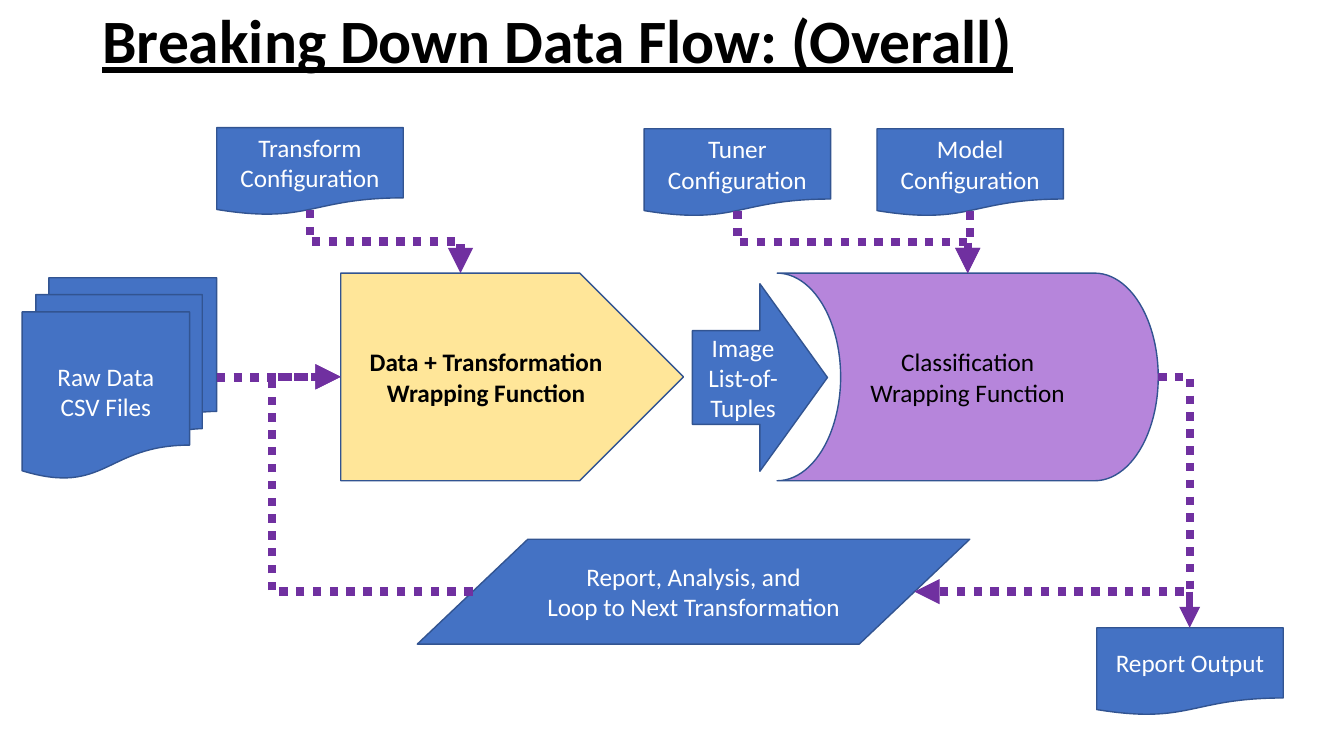
from lxml import etree
from pptx import Presentation
from pptx import util as u
from pptx.dml import color
from pptx.enum import dml, shapes, text
from pptx.oxml import ns

Pt = u.Pt
BLUE = color.RGBColor(0x44, 0x72, 0xC4)
OUTLINE = color.RGBColor(0x32, 0x54, 0x91)
YELLOW = color.RGBColor(0xFF, 0xE6, 0x99)
LILAC = color.RGBColor(0xB6, 0x85, 0xDB)
PURPLE = color.RGBColor(0x70, 0x30, 0xA0)
BLACK = color.RGBColor(0, 0, 0)
WHITE = color.RGBColor(0xFF, 0xFF, 0xFF)
KIND = shapes.MSO_SHAPE
LINK = shapes.MSO_CONNECTOR

deck = Presentation()
deck.slide_width, deck.slide_height = Pt(960), Pt(540)
slide = deck.slides.add_slide(deck.slide_layouts[6])


def write(frame, lines, ink, align, **font_values):
    frame.word_wrap = True
    frame.vertical_anchor = text.MSO_ANCHOR.MIDDLE
    frame.text = lines
    for paragraph in frame.paragraphs:
        paragraph.alignment = align
        for name, value in {"name": "Calibri", **font_values}.items():
            setattr(paragraph.font, name, value)
        paragraph.font.color.rgb = ink


def link(kind, begin, end, width, dash=None, bend=None):
    arrow = slide.shapes.add_connector(kind, *map(Pt, (*begin, *end)))
    arrow.line.color.rgb = PURPLE
    arrow.line.width = Pt(width)
    if dash:
        arrow.line.dash_style = dash
    props = arrow._element.spPr
    etree.SubElement(props.find(ns.qn("a:ln")), ns.qn("a:tailEnd"), type="triangle")
    etree.SubElement(props, ns.qn("a:effectLst"))
    if bend is not None:
        guides = props.find(ns.qn("a:prstGeom")).find(ns.qn("a:avLst"))
        etree.SubElement(guides, ns.qn("a:gd"), name="adj1",
                         fmla=f"val {round(bend * 100000)}")
    return arrow


# Processing steps and documents: kind, left, top, width, height, fill, ink, bold, text
DOC = (133.2, 62.6)
STEP_TOP, STEP_HEIGHT = 195.1, 148.3
steps = [
    (KIND.PENTAGON, 243.4, STEP_TOP, 244.8, STEP_HEIGHT, YELLOW, BLACK, True,
     "Data + Transformation\nWrapping Function"),
    (KIND.FLOWCHART_DOCUMENT, 154.8, 91.2, *DOC, BLUE, WHITE, False,
     "Transform\nConfiguration"),
    (KIND.FLOWCHART_STORED_DATA, 555.1, STEP_TOP, 272.2, STEP_HEIGHT, LILAC, BLACK, False,
     "Classification\nWrapping Function"),
    (KIND.FLOWCHART_DOCUMENT, 460.1, 92, *DOC, BLUE, WHITE, False,
     "Tuner\nConfiguration"),
    (KIND.FLOWCHART_DOCUMENT, 626.4, 92, *DOC, BLUE, WHITE, False,
     "Model\nConfiguration"),
    (KIND.FLOWCHART_MULTIDOCUMENT, 15.8, 198.4, 139, 143.3, BLUE, WHITE, False,
     "Raw Data\nCSV Files"),
    (KIND.RIGHT_ARROW, 494.6, 202.7, 96.5, 133.9, BLUE, WHITE, False,
     "Image List-of-Tuples"),
    (KIND.FLOWCHART_DATA, 298.1, 385.2, 394.6, 74.9, BLUE, WHITE, False,
     "Report, Analysis, and\vLoop to Next Transformation"),
    (KIND.FLOWCHART_DOCUMENT, 783.4, 448.4, *DOC, BLUE, WHITE, False,
     "Report Output"),
]
for kind, left, top, width, height, fill, ink, bold, words in steps:
    step = slide.shapes.add_shape(kind, *map(Pt, (left, top, width, height)))
    step.shadow.inherit = False
    step.fill.solid()
    step.fill.fore_color.rgb = fill
    step.line.color.rgb = OUTLINE
    step.line.width = Pt(1)
    if kind == KIND.FLOWCHART_STORED_DATA:
        step._element.spPr.xfrm.set("flipH", "1")
    write(step.text_frame, words, ink, text.PP_ALIGN.CENTER, size=Pt(18), bold=bold)

# Configurations feed down into the functions; a downward elbow is a turned one
DOTS = dml.MSO_LINE.ROUND_DOT
for start_x, start_y, end_x in [(221.4, 150, 329), (526.7, 150.5, 691.2),
                                (693, 151, 691.2)]:
    drop, shift = STEP_TOP - start_y, end_x - start_x
    mid_x, mid_y = start_x + shift / 2, start_y + drop / 2
    side = 1 if shift > 0 else -1
    feed = link(LINK.ELBOW,
                (mid_x + side * drop / 2, mid_y - abs(shift) / 2),
                (mid_x - side * drop / 2, mid_y + abs(shift) / 2), 6, DOTS, 0.5)
    turn = 270 if side > 0 else 90
    feed._element.spPr.xfrm.set("rot", str(turn * 60000))

# Results to the report, loop back, raw data in
FLOW_Y, REPORT_Y = 269.2, 422.6
for begin, end, bend in [
    ((827.3, FLOW_Y), (653.2, REPORT_Y), -0.13),
    ((337.6, REPORT_Y), (243.4, FLOW_Y), 1.52),
    ((154.8, FLOW_Y + 0.6), (243.4, FLOW_Y), 0.5),
]:
    link(LINK.ELBOW, begin, end, 6, DOTS, bend)
link(LINK.STRAIGHT, (849.8, REPORT_Y), (849.8, 448.4), 5)

# Title
title = slide.shapes.add_textbox(Pt(66), Pt(0), Pt(828), Pt(62.6))
write(title.text_frame, "Breaking Down Data Flow: (Overall)", BLACK,
      text.PP_ALIGN.LEFT, size=Pt(44), bold=True, underline=True)
title.text_frame.paragraphs[0].line_spacing = 0.9

deck.save("out.pptx")
